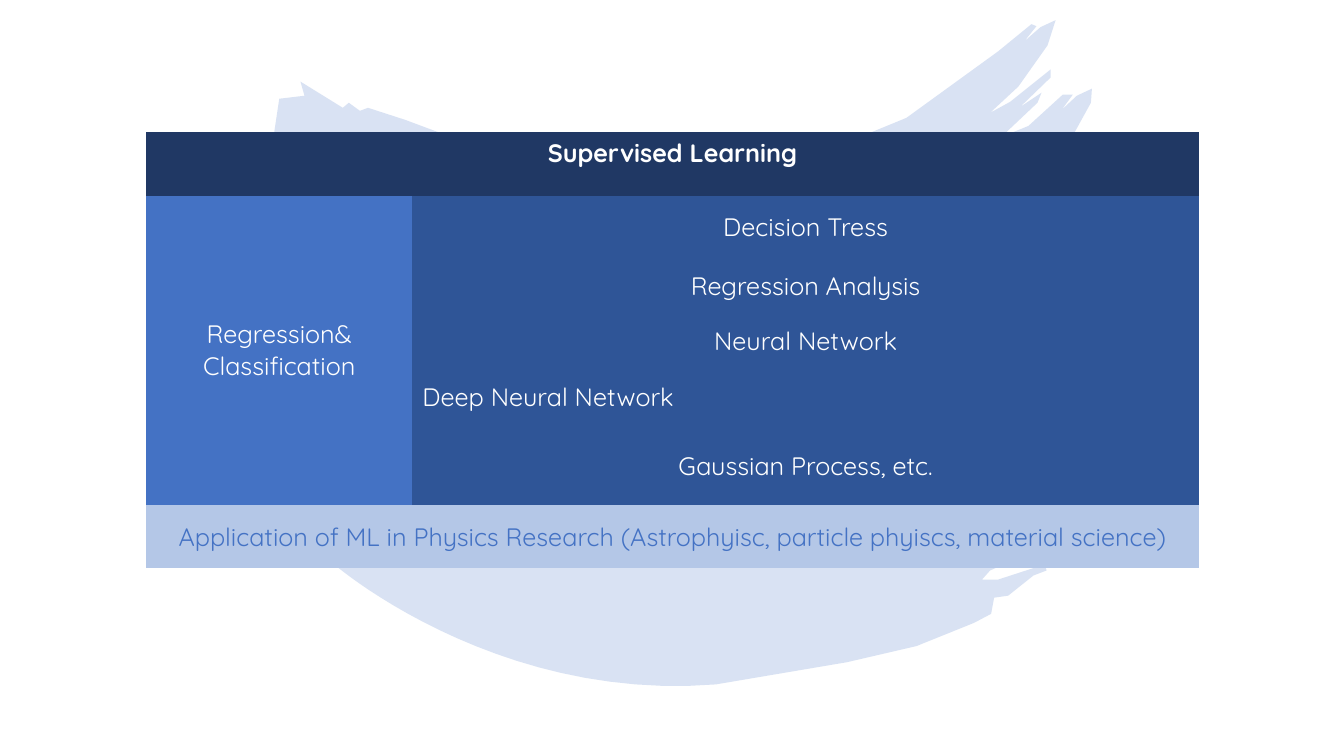
from pptx import Presentation
from pptx.dml.color import RGBColor
from pptx.enum.text import MSO_ANCHOR, PP_ALIGN
from pptx.oxml.ns import qn
from pptx.oxml.xmlchemy import OxmlElement
from pptx.util import Inches, Pt

WHITE = RGBColor(0xFF, 0xFF, 0xFF)
NAVY = RGBColor(0x20, 0x38, 0x64)
BLUE = RGBColor(0x44, 0x72, 0xC4)
DEEP_BLUE = RGBColor(0x2F, 0x55, 0x97)
PALE_BLUE = RGBColor(0xB4, 0xC7, 0xE7)
FONT = "Quicksand"
NO_STYLE = "{2D5ABB26-0587-4C30-8999-92F81FD0307C}"
CURVE_STEPS = 24

COLUMN_WIDTHS = [2.64, 7.8]
ROW_HEIGHTS = [0.63, 0.63, 0.54, 0.54, 0.59, 0.77, 0.63]
METHODS = [
    "Decision Tress",
    "Regression Analysis",
    "Neural Network",
    "Deep Neural Network",
    "Gaussian Process, etc.",
]

BRUSH_TOP = [
    (2.72, 1.31), (2.77, 0.98), (3.02, 0.95), (2.98, 0.81), (3.4, 1.07),
    (3.46, 1.02), (3.57, 1.1), (3.65, 1.07), (4.02, 1.19), (4.45, 1.35),
    (8.6, 1.33), (8.99, 1.17), (9.9, 0.51), (10.23, 0.24), (10.28, 0.26),
    (10.16, 0.41), (10.32, 0.27), (10.47, 0.2), (10.39, 0.45), (10.1, 0.86),
    (9.82, 1.12), (10.02, 1.01), (10.42, 0.69), (10.42, 0.77), (10.12, 1.06),
    (10.33, 0.92), (10.29, 1.02), (9.93, 1.36), (10.2, 1.25), (10.54, 0.94),
    (10.64, 0.94), (10.53, 1.09), (10.68, 0.95), (10.83, 0.88), (10.82, 1.02),
    (10.66, 1.31),
]
BRUSH_BOTTOM = [
    (10.37, 5.62), (10.38, 5.66), (10.25, 5.71), (10.0, 5.91), (9.86, 5.93),
    (9.83, 6.09), (9.66, 6.18), (9.09, 6.41), (8.4, 6.57), (7.1, 6.79),
]
BRUSH_ARC = [(7.1, 6.79), (4.88, 6.97), (3.28, 5.58), (3.27, 5.56)]
BRUSH_GAP = [(9.74, 5.75), (9.82, 5.66), (10.0, 5.58), (10.3, 5.62), (9.9, 5.75)]


def bend(start, first, second, end):
    points = []
    for index in range(1, CURVE_STEPS + 1):
        t = index / CURVE_STEPS
        u = 1 - t
        points.append(tuple(
            u**3 * a + 3 * u * u * t * b + 3 * u * t * t * c + t**3 * d
            for a, b, c, d in zip(start, first, second, end)
        ))
    return points


def to_lengths(points):
    return [(Inches(x), Inches(y)) for x, y in points]


def add_brush_stroke(page):
    outline = to_lengths(BRUSH_TOP + BRUSH_BOTTOM + bend(*BRUSH_ARC))
    gap = to_lengths(BRUSH_GAP)
    builder = page.shapes.build_freeform(*outline[0])
    builder.add_line_segments(outline[1:], close=True)
    builder.move_to(*gap[0])
    builder.add_line_segments(gap[1:], close=True)
    brush = builder.convert_to_shape()
    brush.shadow.inherit = False
    brush.line.fill.background()
    brush.fill.solid()
    brush.fill.fore_color.rgb = BLUE
    alpha = OxmlElement("a:alpha")
    alpha.set("val", "20000")
    brush.element.spPr.find(qn("a:solidFill"))[0].append(alpha)


def fill_cell(cell, text, fill, color=WHITE, align=PP_ALIGN.CENTER,
              anchor=MSO_ANCHOR.MIDDLE, bold=False):
    cell.fill.solid()
    cell.fill.fore_color.rgb = fill
    cell.vertical_anchor = anchor
    cell.text = text
    for paragraph in cell.text_frame.paragraphs:
        paragraph.alignment = align
        paragraph.font.name = FONT
        paragraph.font.size = Pt(18)
        paragraph.font.bold = bold
        paragraph.font.color.rgb = color


def add_learning_table(page):
    frame = page.shapes.add_table(
        len(ROW_HEIGHTS), len(COLUMN_WIDTHS), Inches(1.45), Inches(1.31),
        Inches(sum(COLUMN_WIDTHS)), Inches(sum(ROW_HEIGHTS)))
    table = frame.table
    table.first_row = table.horz_banding = False
    next(frame.element.iter(qn("a:tableStyleId"))).text = NO_STYLE
    for column, width in zip(table.columns, COLUMN_WIDTHS):
        column.width = Inches(width)
    for row, height in zip(table.rows, ROW_HEIGHTS):
        row.height = Inches(height)

    last = len(ROW_HEIGHTS) - 1
    table.cell(0, 0).merge(table.cell(0, 1))
    table.cell(1, 0).merge(table.cell(last - 1, 0))
    table.cell(last, 0).merge(table.cell(last, 1))
    fill_cell(table.cell(0, 0), "Supervised Learning", NAVY,
              anchor=MSO_ANCHOR.TOP, bold=True)
    fill_cell(table.cell(1, 0), "Regression&\nClassification", BLUE)
    for index, method in enumerate(METHODS, start=1):
        fill_cell(table.cell(index, 1), method, DEEP_BLUE)
    deep_network = table.cell(METHODS.index("Deep Neural Network") + 1, 1)
    deep_network.text_frame.paragraphs[0].alignment = PP_ALIGN.LEFT
    fill_cell(table.cell(last, 0),
              "Application of ML in Physics Research "
              "(Astrophyisc, particle phyiscs, material science)",
              PALE_BLUE, color=BLUE)


def main():
    deck = Presentation()
    deck.slide_width = Inches(13.33)
    deck.slide_height = Inches(7.5)
    page = deck.slides.add_slide(deck.slide_layouts[6])
    add_brush_stroke(page)
    add_learning_table(page)
    deck.save("out.pptx")


if __name__ == "__main__":
    main()
